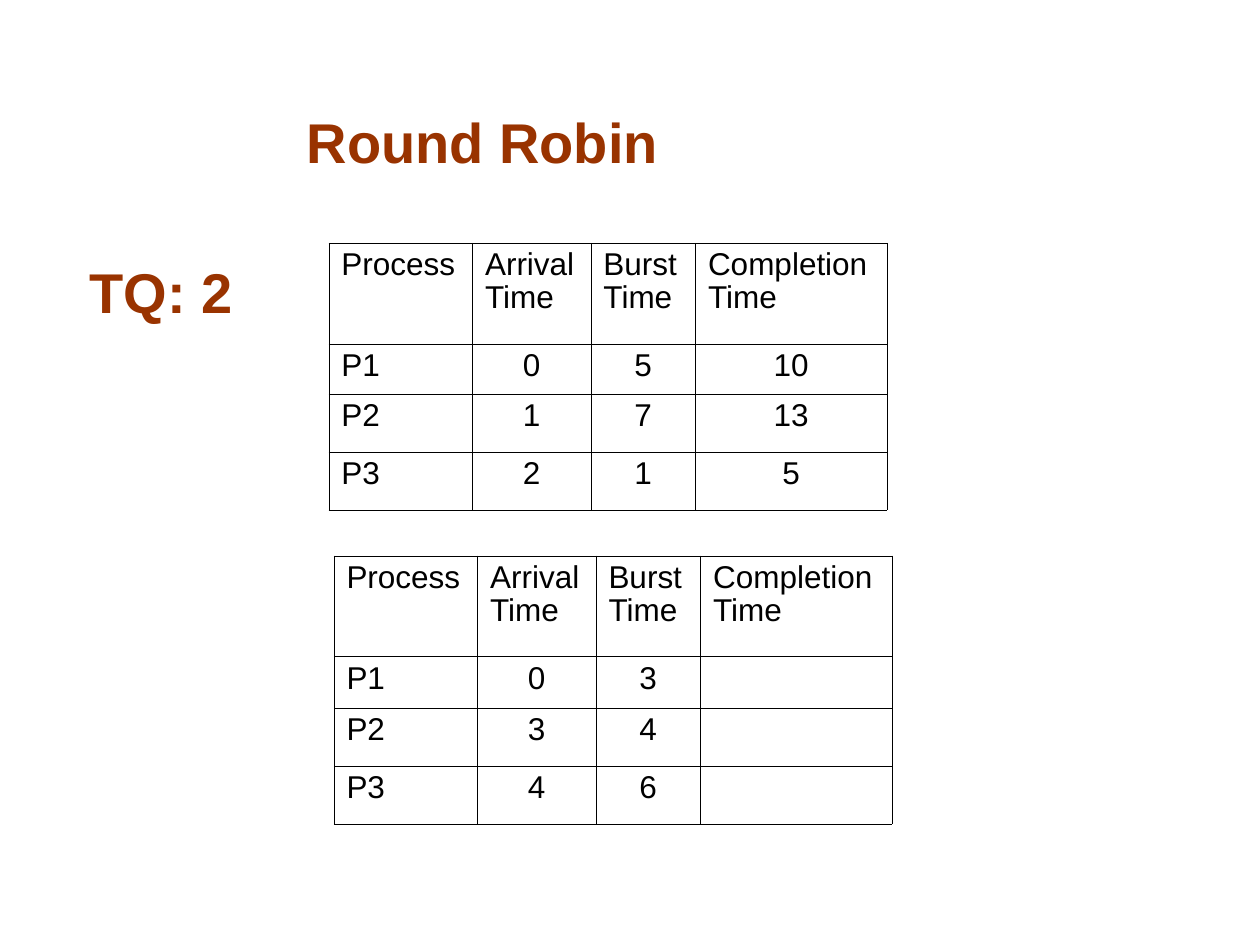
from lxml import etree
from pptx import Presentation, util as u
from pptx.dml.color import RGBColor
from pptx.enum import text
from pptx.oxml.ns import qn

COLORS = {"heading": "993300", "body": "000000"}
FONT = "Arial"
SLIDE_WIDTH, SLIDE_HEIGHT = u.Inches(10), u.Inches(7.5)
COLUMN_WIDTHS = (1.14, 0.94, 0.83, 1.52)
HEADER = ("Process", "Arrival Time", "Burst Time", "Completion Time")
FINISHED = (("P1", "0", "5", "10"), ("P2", "1", "7", "13"), ("P3", "2", "1", "5"))
EXERCISE = (("P1", "0", "3", ""), ("P2", "3", "4", ""), ("P3", "4", "6", ""))


def style_font(paragraph, size, color, bold=False):
    """Apply the slide's typeface to a whole paragraph."""
    font = paragraph.font
    font.name, font.size, font.bold = FONT, u.Pt(size), bold
    font.color.rgb = RGBColor.from_string(COLORS[color])


def add_heading(slide, words, left, top, width, height):
    """Add a centred heading placed by shares of the slide's size."""
    shape = slide.shapes.add_textbox(
        int(left * SLIDE_WIDTH), int(top * SLIDE_HEIGHT),
        int(width * SLIDE_WIDTH), int(height * SLIDE_HEIGHT))
    frame = shape.text_frame
    frame.word_wrap = True
    frame.vertical_anchor = text.MSO_ANCHOR.BOTTOM
    paragraph = frame.paragraphs[0]
    paragraph.text = words
    paragraph.alignment = text.PP_ALIGN.CENTER
    style_font(paragraph, 32, "heading", bold=True)


def add_borders(cell):
    """Draw a hairline on all four sides of a cell."""
    properties = cell._tc.get_or_add_tcPr()
    for position, side in enumerate(("a:lnL", "a:lnR", "a:lnT", "a:lnB")):
        line = etree.Element(qn(side), w=str(u.Pt(0.11)))
        fill = etree.SubElement(line, qn("a:solidFill"))
        etree.SubElement(fill, qn("a:srgbClr"), val=COLORS["body"])
        properties.insert(position, line)


def fill_cell(cell, words, centered):
    """Write one cell with its text style, clear fill and borders."""
    cell.fill.background()
    paragraph = cell.text_frame.paragraphs[0]
    paragraph.text = words
    paragraph.line_spacing = 0.94
    paragraph.alignment = text.PP_ALIGN.CENTER if centered else text.PP_ALIGN.LEFT
    style_font(paragraph, 18, "body")
    add_borders(cell)


def add_process_table(slide, left, top, row_heights, processes):
    """Add a schedule table with a header row and one row per process."""
    rows = (HEADER, *processes)
    table = slide.shapes.add_table(
        len(rows), len(HEADER), int(left * SLIDE_WIDTH), int(top * SLIDE_HEIGHT),
        u.Inches(sum(COLUMN_WIDTHS)), u.Inches(sum(row_heights))).table
    table.first_row = table.horz_banding = False
    for column, width in zip(table.columns, COLUMN_WIDTHS):
        column.width = u.Inches(width)
    for r, (row, height) in enumerate(zip(rows, row_heights)):
        table.rows[r].height = u.Inches(height)
        for c, words in enumerate(row):
            fill_cell(table.cell(r, c), words, centered=r > 0 and c > 0)


def main():
    """Build the round robin slide."""
    presentation = Presentation()
    presentation.slide_width, presentation.slide_height = SLIDE_WIDTH, SLIDE_HEIGHT
    slide = presentation.slides.add_slide(presentation.slide_layouts[6])
    add_heading(slide, "Round Robin", 0.074, 0.097, 0.618, 0.095)
    add_process_table(slide, 0.261, 0.257, (0.8, 0.4, 0.46, 0.46), FINISHED)
    add_heading(slide, "TQ: 2 ", 0.029, 0.255, 0.21, 0.095)
    add_process_table(slide, 0.265, 0.588, (0.8, 0.41, 0.46, 0.46), EXERCISE)
    presentation.save("out.pptx")


if __name__ == "__main__":
    main()
